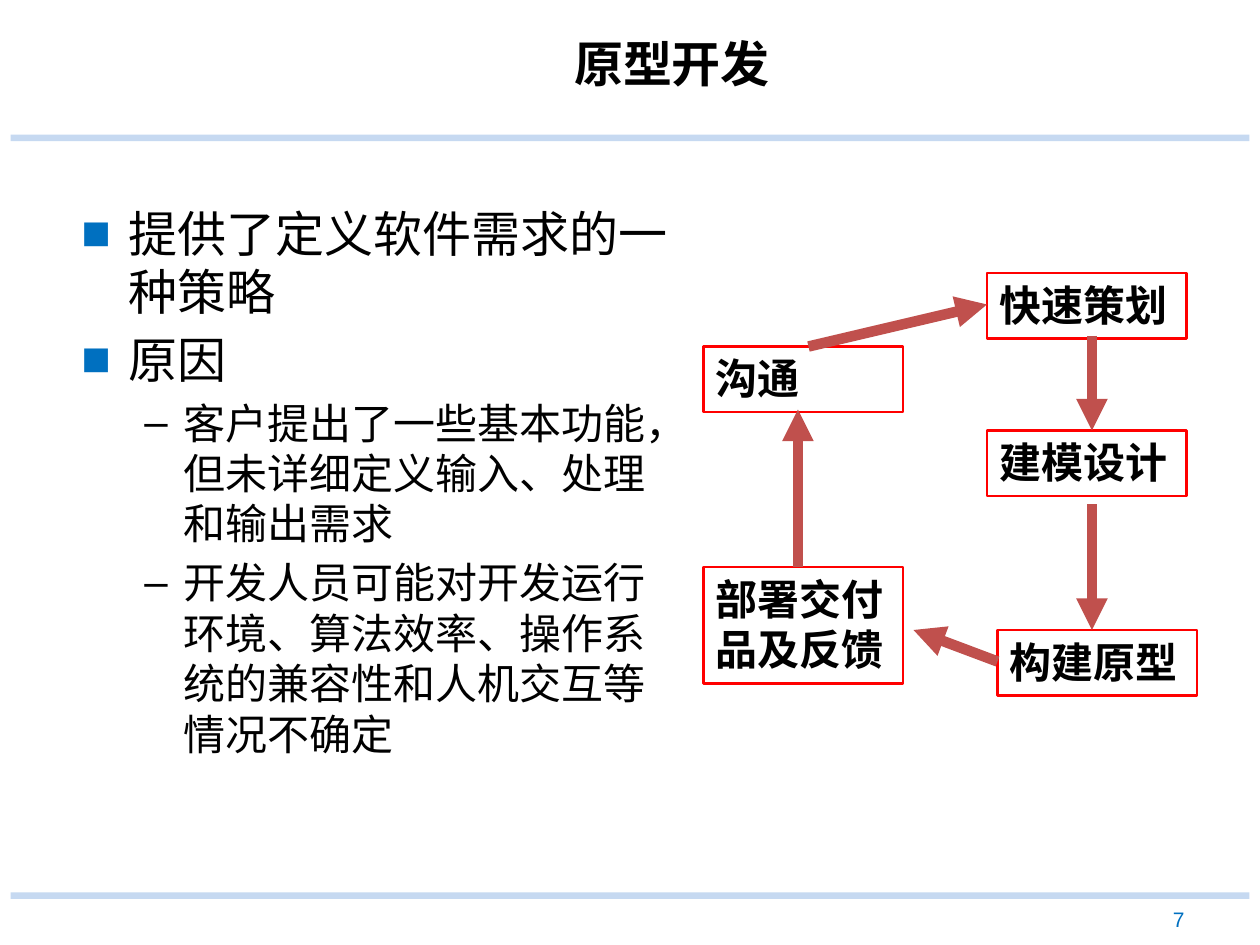
import pptx
import pptx.util
import pptx.dml.color
import pptx.enum.shapes
import pptx.enum.text
import pptx.oxml
import pptx.oxml.ns
from lxml import etree

Pt = pptx.util.Pt
ALIGN = pptx.enum.text.PP_ALIGN
ANCHOR = pptx.enum.text.MSO_ANCHOR
RECT = pptx.enum.shapes.MSO_SHAPE.RECTANGLE
STRAIGHT = pptx.enum.shapes.MSO_CONNECTOR.STRAIGHT

# Content
TITLE = "原型开发"
PAGE = "7"
POINTS = [  # level, text
    (0, "提供了定义软件需求的一种策略"),
    (0, "原因"),
    (1, "客户提出了一些基本功能,但未详细定义输入、处理和输出需求".replace(",", "\uff0c")),
    (1, "开发人员可能对开发运行环境、算法效率、操作系统的兼容性和人机交互等情况不确定"),
]
LEVELS = [  # size, left margin, hanging indent, bullet, bullet colour
    (28, 27, 27, "■", "0070C0"),
    (24, 58.5, 22.5, "–", "000000"),
]
STEPS = [  # text, left, top, height
    ("快速策划", 564, 156, 37.5),
    ("建模设计", 564, 246, 37.5),
    ("构建原型", 570, 360, 37.5),
    ("部署交付品及反馈", 402, 324, 66.5),
    ("沟通", 402, 198, 37.5),
]
STEP_WIDTH = 114
ARROWS = [  # start, end
    ((624, 192), (624, 246)),
    ((624, 288), (624, 360)),
    ((570, 378), (522, 360)),
    ((456, 324), (456, 234)),
    ((462, 198), (564, 174)),
]
RULE_TOPS = (77, 510)


def color(value):
    return pptx.dml.color.RGBColor.from_string(value)


def style(paragraph, size, font, ink="000000", bold=False):
    for run in paragraph.runs:
        run.font.size = Pt(size)
        run.font.name = font
        run.font.bold = bold
        run.font.color.rgb = color(ink)


def add_text(left, top, width, height, text, anchor=ANCHOR.TOP):
    frame = slide.shapes.add_textbox(Pt(left), Pt(top), Pt(width), Pt(height)).text_frame
    frame.word_wrap = True
    frame.vertical_anchor = anchor
    frame.text = text
    return frame


def add_bullet(paragraph, margin, hanging, mark, ink):
    props = paragraph._p.get_or_add_pPr()
    props.set("marL", str(Pt(margin)))
    props.set("indent", str(-Pt(hanging)))
    tag = pptx.oxml.ns.qn
    paint = etree.SubElement(props, tag("a:buClr"))
    etree.SubElement(paint, tag("a:srgbClr"), val=ink)
    etree.SubElement(props, tag("a:buFont"), typeface="Arial")
    etree.SubElement(props, tag("a:buChar"), char=mark)


deck = pptx.Presentation()
deck.slide_width, deck.slide_height = Pt(720), Pt(540)
slide = deck.slides.add_slide(deck.slide_layouts[6])

# Header and footer rules
for top in RULE_TOPS:
    rule = slide.shapes.add_shape(RECT, Pt(6), Pt(top), Pt(708), Pt(3.75))
    rule.shadow.inherit = False
    rule.fill.solid()
    rule.fill.fore_color.rgb = color("C6D9F1")
    rule.line.fill.background()

# Title and page number
heading = add_text(186, 6, 396, 60, TITLE, ANCHOR.MIDDLE).paragraphs[0]
heading.alignment = ALIGN.CENTER
style(heading, 28, "Calibri", bold=True)

number = add_text(516, 517, 168, 16.5, PAGE, ANCHOR.MIDDLE).paragraphs[0]
number.alignment = ALIGN.RIGHT
style(number, 12, "Arial", "0070C0")

# Bulleted points
body = add_text(39.5, 112.5, 354, 384, "\n".join(text for _, text in POINTS))
for index, (level, _) in enumerate(POINTS):
    size, *bullet = LEVELS[level]
    point = body.paragraphs[index]
    point.level = level
    point.space_before = Pt(5 if index else 0)
    add_bullet(point, *bullet)
    style(point, size, "Calibri")

# Steps of the cycle
for text, left, top, height in STEPS:
    step = slide.shapes.add_shape(RECT, Pt(left), Pt(top), Pt(STEP_WIDTH), Pt(height))
    step.shadow.inherit = False
    step.fill.background()
    step.line.color.rgb = color("FF0000")
    step.line.width = Pt(1.5)
    step.text_frame.word_wrap = True
    step.text_frame.vertical_anchor = ANCHOR.TOP
    step.text_frame.text = text
    label = step.text_frame.paragraphs[0]
    label.alignment = ALIGN.LEFT
    style(label, 24, "Arial", bold=True)

# Arrows between the steps
for start, end in ARROWS:
    arrow = slide.shapes.add_connector(STRAIGHT, *map(Pt, start + end))
    arrow.line.color.rgb = color("C0504D")
    arrow.line.width = Pt(6)
    etree.SubElement(arrow.line._get_or_add_ln(), pptx.oxml.ns.qn("a:tailEnd"), type="triangle")
    etree.SubElement(arrow._element.spPr, pptx.oxml.ns.qn("a:effectLst"))

deck.save("out.pptx")
